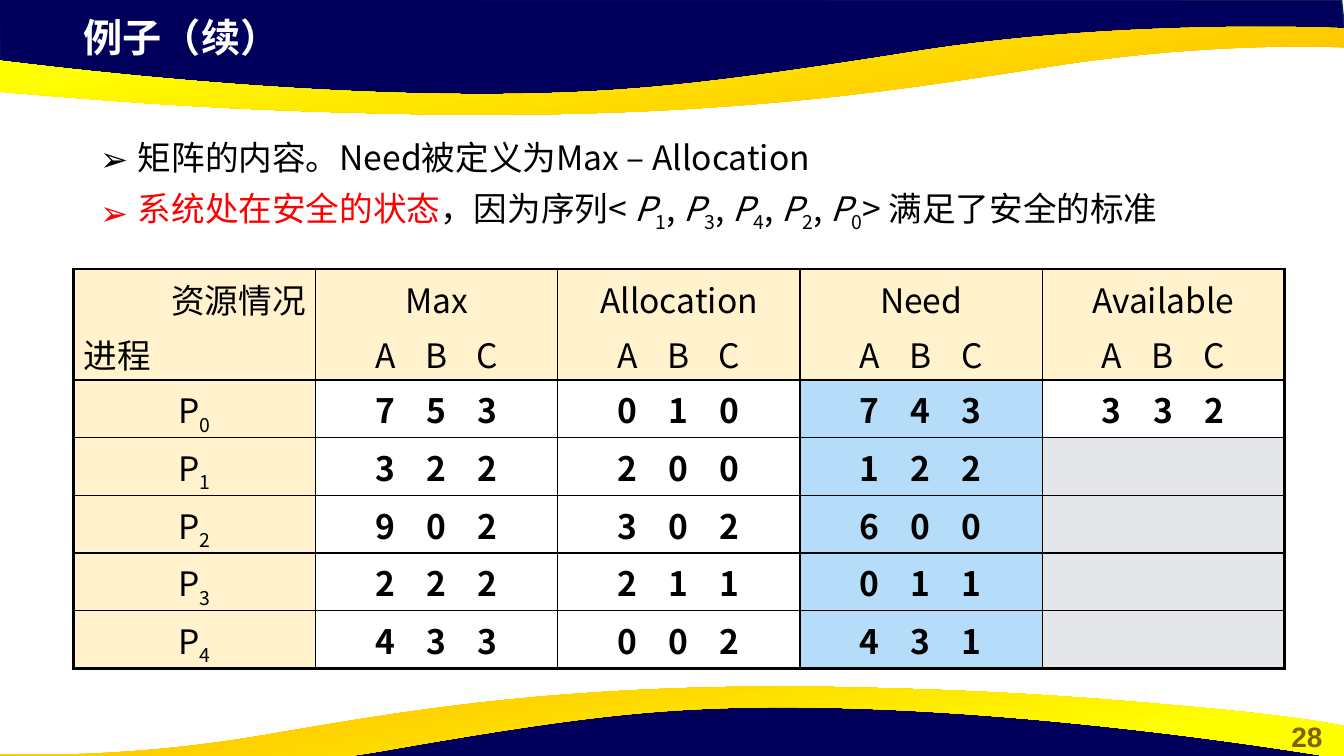
from dataclasses import dataclass

from lxml import etree
from pptx import Presentation
from pptx.dml.color import RGBColor
from pptx.enum.text import MSO_ANCHOR, PP_ALIGN
from pptx.oxml.ns import qn
from pptx.util import Pt

LEFT, CENTER, RIGHT = PP_ALIGN.LEFT, PP_ALIGN.CENTER, PP_ALIGN.RIGHT
MIDDLE = MSO_ANCHOR.MIDDLE


@dataclass(frozen=True)
class Theme:
    """Colours, fonts and type sizes of the slide."""
    navy: str = "00005C"
    navy_line: str = "05304F"
    gold: str = "FFC000"
    yellow: str = "FFFF00"
    olive: str = "806000"
    black: str = "000000"
    white: str = "FFFFFF"
    red: str = "FF0000"
    cream: str = "FFF2CC"
    sky: str = "B5DDFA"
    grey: str = "E4E6EA"
    body_font: str = "Noto Sans CJK SC"
    title_font: str = "Arial"
    title: int = 28
    body: int = 24
    number: int = 20


THEME = Theme()

NAVY_EDGE = [(-0.7, -0.7), (0, 50.4), (211, 73.4), (402.5, 72), (572.4, 63.4),
             (731.5, 36), (891.4, 23.8), (961.2, 27.4), (958.3, 0)]
GOLD_WAVE = [
    (347.8, 82.1),
    (319, 82.1, 288.7, 81.4, 256.3, 80.6),
    (148.3, 77.8, 79.2, 72, 25.9, 67.7),
    (-63.4, 60.5, -93.6, 54, -95.8, 54),
    (-95.8, 30.2, -95.8, 30.2, -95.8, 30.2),
    (-95.8, 30.2, 157, 70.6, 372.2, 67),
    (450.7, 65.5, 509.8, 59.8, 658.8, 36),
    (807.8, 13, 959.8, 20.2, 959.8, 20.2),
    (959.8, 23),
    (959.8, 33.8),
    (957.6, 33.8),
    (939.6, 33.1, 860.4, 31, 759.6, 46.1),
    (660.2, 61.2, 548.6, 81.4, 347.8, 82.1),
]
MATRICES = {
    "Max": ["753", "322", "902", "222", "433"],
    "Allocation": ["010", "200", "302", "211", "002"],
    "Need": ["743", "122", "600", "011", "431"],
    "Available": ["332", "", "", "", ""],
}
SAFE_SEQUENCE = "13420"
LETTER_STOPS = (42.5, 79, 115.5)
COLUMN_WIDTH, HEADER_HEIGHT, ROW_HEIGHT = 173, 79.2, 41.2


def rgb(color):
    """Turn a hex string into a colour."""
    return RGBColor.from_string(color)


def half_turn(segment, right, bottom, stretch=1):
    """Turn a segment upside down, scaling it sideways."""
    return tuple(bottom - value if index % 2 else right - value * stretch
                 for index, value in enumerate(segment))


def add_outline(page, segments):
    """Add a closed freeform of lines and cubic curves."""
    corners = [(Pt(segment[-2]), Pt(segment[-1])) for segment in segments]
    builder = page.shapes.build_freeform(*corners[0])
    builder.add_line_segments(corners[1:], close=True)
    shape = builder.convert_to_shape()
    shape.shadow.inherit = False
    shape.line.fill.background()
    lines = list(shape._element.iter(qn("a:lnTo")))
    for line, segment in zip(lines, segments[1:]):
        if len(segment) == 6:
            bend_line(shape, line, segment)
    return shape


def bend_line(shape, line, segment):
    """Turn a straight line of a freeform into a cubic curve."""
    curve = etree.Element(qn("a:cubicBezTo"))
    for x, y in zip(segment[::2], segment[1::2]):
        etree.SubElement(curve, qn("a:pt"), x=str(Pt(x) - shape.left),
                         y=str(Pt(y) - shape.top))
    line.getparent().replace(line, curve)


def add_navy_band(page, segments):
    """Add a dark band."""
    band = add_outline(page, segments)
    band.fill.solid()
    band.fill.fore_color.rgb = rgb(THEME.navy)
    band.line.color.rgb = rgb(THEME.navy_line)
    band.line.width = Pt(1)


def add_gold_wave(page, segments, angle):
    """Add a wave shaded from gold to yellow."""
    wave = add_outline(page, segments)
    wave.fill.gradient()
    wave.fill.gradient_angle = angle
    shades = ((0.11, THEME.gold), (0.78, THEME.yellow))
    for stop, (position, color) in zip(wave.fill.gradient_stops, shades):
        stop.position = position
        stop.color.rgb = rgb(color)


def add_span(para, text, color=THEME.black, size=THEME.body, font=THEME.body_font,
             bold=False, italic=False, subscript=False):
    """Add one formatted run."""
    span = para.add_run()
    span.text = text
    span.font.size = Pt(size)
    span.font.bold = bold
    span.font.italic = italic
    span.font.color.rgb = rgb(color)
    span.font.name = font
    properties = span._r.get_or_add_rPr()
    etree.SubElement(properties, qn("a:ea"), typeface=THEME.body_font)
    if subscript:
        properties.set("baseline", "-25000")


def add_process(para, number, italic=False):
    """Add a process name with its subscript."""
    add_span(para, "P", italic=italic)
    add_span(para, number, subscript=True)


def add_box(page, left, top, width, height):
    """Add a wrapping text box and return its text frame."""
    box = page.shapes.add_textbox(Pt(left), Pt(top), Pt(width), Pt(height))
    box.text_frame.word_wrap = True
    return box.text_frame


def set_bullet(para):
    """Give a paragraph an arrow bullet with a hanging indent."""
    para.line_spacing = 1.23
    properties = para._p.get_or_add_pPr()
    properties.set("marL", str(Pt(27)))
    properties.set("indent", str(-Pt(27)))
    etree.SubElement(properties, qn("a:buFont"), typeface=THEME.body_font)
    etree.SubElement(properties, qn("a:buChar"), char="➢")


def add_triple(para, letters, bold=False):
    """Add three values centred on tab stops."""
    stops = etree.SubElement(para._p.get_or_add_pPr(), qn("a:tabLst"))
    for position in LETTER_STOPS:
        etree.SubElement(stops, qn("a:tab"), pos=str(Pt(position)), algn="ctr")
    add_span(para, "".join("\t" + letter for letter in letters), bold=bold)


def style_cell(cell, fill, edges):
    """Set borders, fill and anchor of a cell."""
    properties = cell._tc.get_or_add_tcPr()
    for side, heavy in zip("LRTB", edges):
        line = etree.SubElement(properties, qn("a:ln" + side),
                                w=str(Pt(2.25 if heavy else 1)))
        paint = etree.SubElement(line, qn("a:solidFill"))
        etree.SubElement(paint, qn("a:srgbClr"), val=THEME.black)
    cell.fill.solid()
    cell.fill.fore_color.rgb = rgb(fill)
    cell.vertical_anchor = MIDDLE


def cell_fill(row, column):
    """Choose the fill for a table position."""
    if row == 0 or column == 0:
        return THEME.cream
    if column == 3:
        return THEME.sky
    return THEME.grey if column == 4 and row > 1 else THEME.white


def fill_cell(cell, row, column):
    """Write the text for a table position."""
    first = cell.text_frame.paragraphs[0]
    name = list(MATRICES)[column - 1]
    if row == 0:
        first.alignment = CENTER if column else RIGHT
        add_span(first, name if column else "资源情况")
        second = cell.text_frame.add_paragraph()
        second.alignment = LEFT
        second.space_before = Pt(4.8)
        if column:
            add_triple(second, "ABC")
        else:
            add_span(second, "进程")
    elif column == 0:
        first.alignment = CENTER
        add_process(first, str(row - 1))
    elif MATRICES[name][row - 1]:
        add_triple(first, MATRICES[name][row - 1], bold=True)


def add_matrix_table(page):
    """Add the table of resource matrices."""
    heights = [HEADER_HEIGHT] + [ROW_HEIGHT] * 5
    table = page.shapes.add_table(6, 5, Pt(52.5), Pt(192.2), Pt(COLUMN_WIDTH * 5),
                                  Pt(sum(heights))).table
    table.first_row = table.horz_banding = False
    for column in table.columns:
        column.width = Pt(COLUMN_WIDTH)
    for row, height in enumerate(heights):
        table.rows[row].height = Pt(height)
        for column in range(5):
            cell = table.cell(row, column)
            style_cell(cell, cell_fill(row, column),
                       (column == 0, column == 4, row == 0, row == 5))
            fill_cell(cell, row, column)


def add_statements(page):
    """Add the two bulleted statements."""
    frame = add_box(page, 64.4, 87.6, 851, 75.6)
    first, second = frame.paragraphs[0], frame.add_paragraph()
    for para in (first, second):
        set_bullet(para)
    add_span(first, "矩阵的内容。Need被定义为Max – Allocation")
    add_span(second, "系统处在安全的状态", THEME.red)
    add_span(second, "，因为序列< ")
    for index, number in enumerate(SAFE_SEQUENCE):
        if index:
            add_span(second, ", ")
        add_process(second, number, italic=True)
    add_span(second, "> 满足了安全的标准")


def main():
    """Build the slide and save it."""
    deck = Presentation()
    deck.slide_width, deck.slide_height = Pt(960), Pt(540)
    page = deck.slides.add_slide(deck.slide_layouts[6])
    add_navy_band(page, NAVY_EDGE)
    add_gold_wave(page, GOLD_WAVE, 100)
    add_navy_band(page, [half_turn(edge, 959.5, 571.5) for edge in NAVY_EDGE])
    add_gold_wave(page, [half_turn(part, 872.6, 572.4, 0.91) for part in GOLD_WAVE], 280)
    number = add_box(page, 907.2, 510.5, 52.6, 31.7).paragraphs[0]
    number.alignment = CENTER
    add_span(number, "28", THEME.olive, THEME.number, THEME.title_font, bold=True)
    title = add_box(page, 52.6, 6, 553, 41).paragraphs[0]
    add_span(title, "例子（续）", THEME.white, THEME.title, THEME.title_font, bold=True)
    add_statements(page)
    add_matrix_table(page)
    deck.save("out.pptx")


if __name__ == "__main__":
    main()
